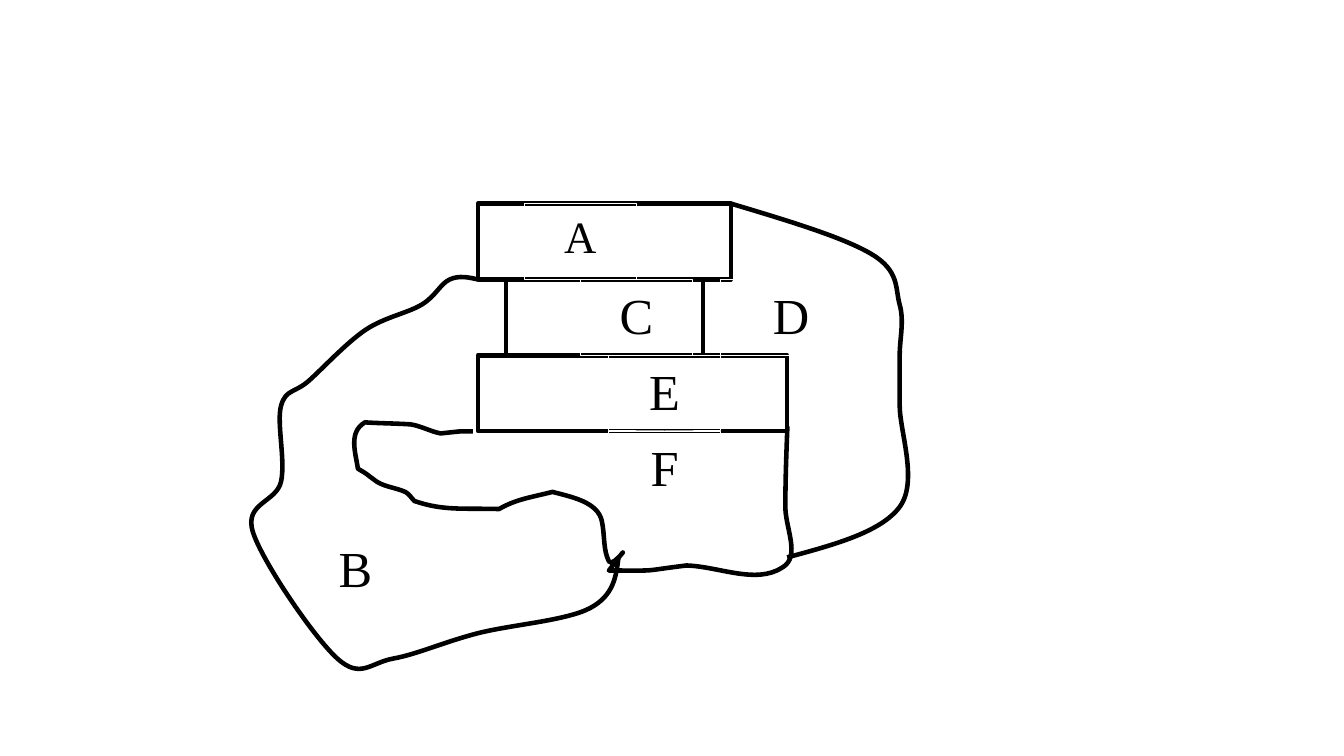
"""Draw a map of six adjoining regions, laid out on a grid of columns and rows."""
from typing import NamedTuple, Optional

from pptx import Presentation
from pptx import util as u
from pptx.dml.color import RGBColor
from pptx.enum import shapes, text
from pptx.oxml import ns, xmlchemy

BLACK, WHITE = "000000", "FFFFFF"
FONT = "Times New Roman"
BORDER_POINTS, LABEL_LINE_POINTS = 3.25, 0.75

GRID_LEFT, GRID_TOP = 4.74, 2.02
COLUMN = 2.51 / 9
ROW = 3.51 / 14
ROWS_PER_BOX = 3
LABEL_SHIFT = -0.1

CYRILLIC_A = "\N{CYRILLIC CAPITAL LETTER A}"
CYRILLIC_VE = "\N{CYRILLIC CAPITAL LETTER VE}"
CYRILLIC_ES = "\N{CYRILLIC CAPITAL LETTER ES}"


class Point(NamedTuple):
    x: float
    y: float


class Curve(NamedTuple):
    """One Bezier segment: two handles and the point where it ends."""
    leave: Point
    arrive: Point
    end: Point


class Region(NamedTuple):
    """A box of the stack, in columns."""
    column: int
    columns: int


class Label(NamedTuple):
    """A region letter in a box placed on the grid."""
    letter: str
    column: int
    row: int
    columns: int = 4
    size: int = 36


STACK = [Region(0, 9), Region(1, 7), Region(0, 11)]

LABELS = [
    Label(CYRILLIC_A, 2, 0, size=32),
    Label(CYRILLIC_ES, 4, 3),
    Label(CYRILLIC_VE, -6, 13),
    Label("D", 9, 3, columns=5),
    Label("F", 5, 9),
    Label("E", 5, 6),
]

D_STOPS = [(9, 0), (14, 2), (15, 4), (15, 6), (15, 8), (15, 12), (11, 14)]
B_STOPS = [(0, 3), (-1, 3), (-2, 4), (-4, 5), (-6, 7), (-7, 8), (-7, 11),
           (-8, 13), (-5, 18), (-3, 18), (0, 17), (4, 16), (5, 14)]

F_START = Point(7.81, 4.23)
F_FREEHAND = [
    ((7.8, 4.49), (7.79, 4.75), (7.79, 5.01)),
    ((7.78, 5.22), (7.95, 5.52), (7.76, 5.63)),
    ((7.5, 5.8), (7.13, 5.62), (6.81, 5.61)),
    ((6.32, 5.67), (6.58, 5.66), (6.04, 5.66)),
    ((6.33, 5.27), (6.08, 5.65), (6.04, 5.57)),
    ((5.98, 5.45), (6, 5.31), (5.97, 5.17)),
    ((5.93, 4.98), (5.67, 4.93), (5.48, 4.88)),
    ((5.29, 4.93), (5.12, 4.95), (4.95, 5.05)),
    ((4.59, 5.04), (4.4, 5.07), (4.11, 4.97)),
    ((4.08, 4.94), (4.06, 4.9), (4.02, 4.88)),
    ((3.93, 4.84), (3.82, 4.83), (3.74, 4.78)),
    ((3.6, 4.68), (3.67, 4.72), (3.55, 4.65)),
    ((3.53, 4.5), (3.45, 4.29), (3.62, 4.19)),
    ((3.77, 4.2), (3.92, 4.2), (4.07, 4.21)),
    ((4.16, 4.22), (4.27, 4.28), (4.37, 4.3)),
    ((4.65, 4.27), (4.54, 4.28), (4.69, 4.28)),
]


def color(value: str) -> RGBColor:
    """Turn a hex string into a colour."""
    return RGBColor.from_string(value)


def on_grid(column: int, row: int) -> Point:
    """Turn a grid position into inches."""
    return Point(GRID_LEFT + column * COLUMN, GRID_TOP + row * ROW)


def midpoint(first: Point, second: Point) -> Point:
    """Return the point halfway between two points."""
    return Point((first.x + second.x) / 2, (first.y + second.y) / 2)


def smooth_curves(stops: list[Point]) -> list[Curve]:
    """Join stops smoothly: each handle is a sixth of the way between neighbours."""
    arrivals, departures = [], []
    for before, stop, after in zip(stops, stops[1:], stops[2:]):
        dx, dy = (after.x - before.x) / 6, (after.y - before.y) / 6
        arrivals.append(Point(stop.x - dx, stop.y - dy))
        departures.append(Point(stop.x + dx, stop.y + dy))
    departures.insert(0, midpoint(stops[0], arrivals[0]))
    arrivals.append(midpoint(departures[-1], stops[-1]))
    return [Curve(*parts) for parts in zip(departures, arrivals, stops[1:])]


def style(shape, line: str, points: float, fill: Optional[str] = None) -> None:
    """Set outline and fill, and remove the shadow."""
    shape.shadow.inherit = False
    shape.line.color.rgb = color(line)
    shape.line.width = u.Pt(points)
    if fill:
        shape.fill.solid()
        shape.fill.fore_color.rgb = color(fill)
    else:
        shape.fill.background()


def add_box(canvas, corner: Point, columns: int):
    """Add a rectangle of the common height, as wide as some columns."""
    return canvas.add_shape(
        shapes.MSO_SHAPE.RECTANGLE, u.Inches(corner.x), u.Inches(corner.y),
        u.Inches(columns * COLUMN), u.Inches(ROWS_PER_BOX * ROW))


def add_border(canvas, start: Point, curves: list[Curve]) -> None:
    """Add an open outline, turning each three line segments into a Bezier curve."""
    builder = canvas.build_freeform(u.Inches(start.x), u.Inches(start.y))
    builder.add_line_segments(
        [(u.Inches(x), u.Inches(y)) for curve in curves for x, y in curve],
        close=False)
    shape = builder.convert_to_shape()
    segments = iter(list(shape._element.iter(ns.qn("a:lnTo"))))
    for triple in zip(segments, segments, segments):
        bezier = xmlchemy.OxmlElement("a:cubicBezTo")
        triple[0].addprevious(bezier)
        for segment in triple:
            bezier.append(segment[0])
            segment.getparent().remove(segment)
    style(shape, BLACK, BORDER_POINTS)


def add_label(canvas, label: Label) -> None:
    """Add a region letter in a box with a thin white outline."""
    x, y = on_grid(label.column, label.row)
    shape = add_box(canvas, Point(x + LABEL_SHIFT, y), label.columns)
    style(shape, WHITE, LABEL_LINE_POINTS)
    frame = shape.text_frame
    frame.text = label.letter
    frame.word_wrap = True
    frame.vertical_anchor = text.MSO_ANCHOR.TOP
    paragraph = frame.paragraphs[0]
    paragraph.alignment = text.PP_ALIGN.CENTER
    font = paragraph.runs[0].font
    font.name = FONT
    font.size = u.Pt(label.size)
    font.color.rgb = color(BLACK)


def main() -> None:
    """Build and save the slide."""
    presentation = Presentation()
    presentation.slide_width = u.Inches(13.33)
    presentation.slide_height = u.Inches(7.5)
    slide = presentation.slides.add_slide(presentation.slide_layouts[6])
    canvas = slide.shapes.add_group_shape().shapes
    for level, region in enumerate(STACK):
        corner = on_grid(region.column, level * ROWS_PER_BOX)
        box = add_box(canvas, corner, region.columns)
        style(box, BLACK, BORDER_POINTS, WHITE)
    add_border(canvas, F_START, [Curve(*parts) for parts in F_FREEHAND])
    for grid_stops in (D_STOPS, B_STOPS):
        stops = [on_grid(*stop) for stop in grid_stops]
        add_border(canvas, stops[0], smooth_curves(stops))
    for label in LABELS:
        add_label(canvas, label)
    presentation.save("out.pptx")


main()
